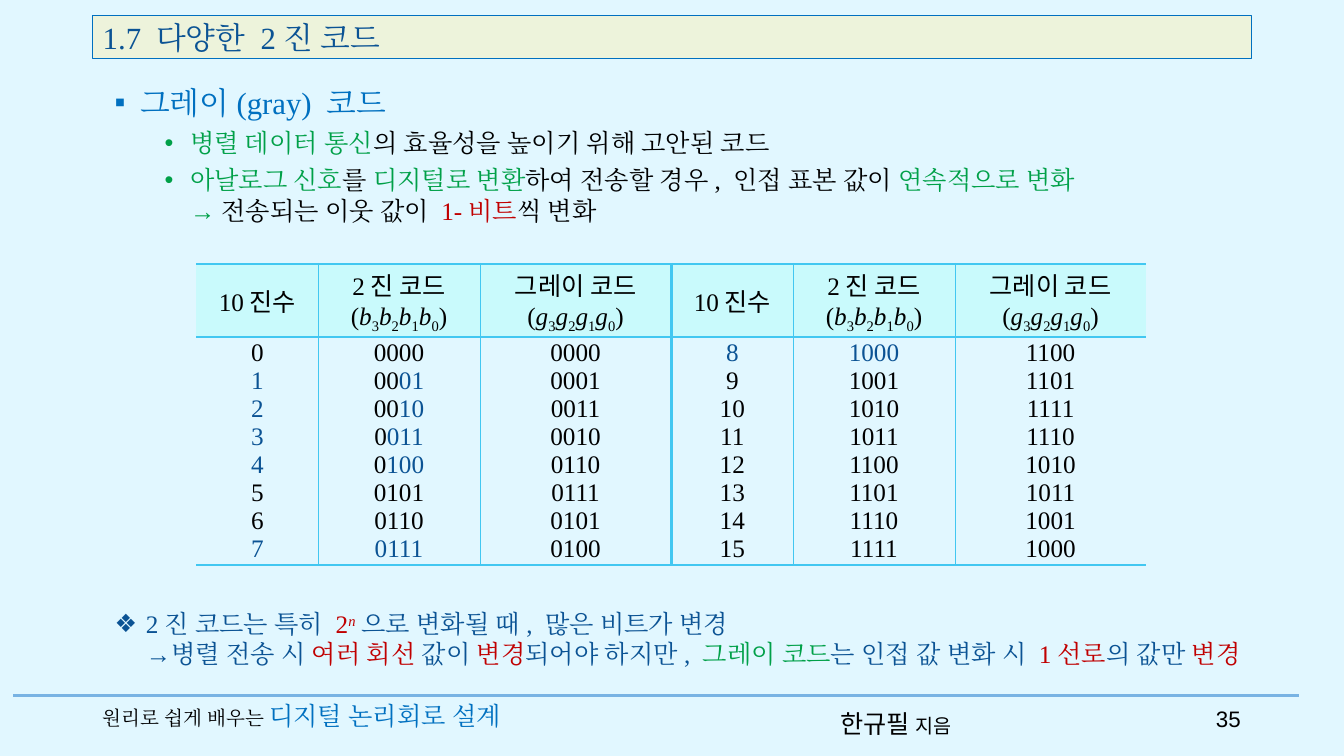
import pptx
import pptx.dml.color
import pptx.enum.shapes
import pptx.enum.text
import pptx.oxml
import pptx.oxml.ns
import pptx.util
from pptx.util import Cm, Pt

RGBColor = pptx.dml.color.RGBColor
ALIGN = pptx.enum.text.PP_ALIGN
ANCHOR = pptx.enum.text.MSO_ANCHOR

BLACK = RGBColor(0, 0, 0)
NAVY = RGBColor(0x0B, 0x53, 0x94)
BLUE = RGBColor(0x00, 0x70, 0xC0)
GREEN = RGBColor(0x00, 0xA0, 0x48)
RED = RGBColor(0xC0, 0x00, 0x00)
SKY = RGBColor(0xE1, 0xF7, 0xFF)
CREAM = RGBColor(0xED, 0xF3, 0xDB)
HEADER_CYAN = RGBColor(0xC9, 0xFA, 0xFC)
TABLE_LINE = RGBColor(0x42, 0xC7, 0xF1)
FOOTER_LINE = RGBColor(0x78, 0xB3, 0xE3)
SERIF, SANS = "Times New Roman", "Noto Sans CJK KR"

# Content: a run is (text, colour, optional settings)
TITLE = [("1.7 다양한 2진 코드", NAVY, {"size": 22})]
TOPIC = [("그레이(gray) 코드", BLUE, {"size": 22})]
POINTS = [
    [("병렬 데이터 통신", GREEN), ("의 효율성을 높이기 위해 고안된 코드", BLACK)],
    [("아날로그 신호", GREEN), ("를 ", BLACK), ("디지털로 변환", GREEN),
     ("하여 전송할 경우, 인접 표본 값이 ", BLACK), ("연속적으로 변화\n→ ", GREEN),
     ("전송되는 이웃 값이 ", BLACK), ("1-비트", RED), ("씩 변화", BLACK)],
]
CONCLUSION = [
    ("2진 코드는 특히 ", NAVY), ("2", RED), ("n", RED, {"italic": True, "baseline": 30}),
    ("으로 변화될 때, 많은 비트가 변경\n→병렬 전송 시 ", NAVY), ("여러 회선 ", RED),
    ("값이 ", NAVY), ("변경", RED), ("되어야 하지만, ", NAVY), ("그레이 코드", GREEN),
    ("는 인접 값 변화 시 ", NAVY), ("1선로", RED), ("의 값만 ", NAVY), ("변경", RED),
]
BOOK = [("원리로 쉽게 배우는 ", BLACK, {"size": 14}), ("디지털 논리회로 설계", BLUE)]
AUTHOR = [("한규필 ", BLACK, {"font": SANS}), ("지음", BLACK, {"font": SANS, "size": 14})]
PAGE = [("35", BLACK, {"font": "Arial", "size": 16})]
CHANGED_BITS = {1: 2, 2: 2, 3: 3, 4: 3, 7: 4, 8: 4}  # number: blue trailing bits
COLUMN_WIDTHS = [3.07, 4.07, 4.83] * 2
ROW_HEIGHTS = [1.84, 5.74]


# Text helpers
def add_runs(paragraph, runs):
    for text, color, *settings in runs:
        style = settings[0] if settings else {}
        for index, line in enumerate(text.split("\n")):
            if index:
                paragraph.add_line_break()
            run = paragraph.add_run()
            run.text = line
            font = run.font
            font.size = Pt(style.get("size", 18))
            font.name = style.get("font", SERIF)
            font.color.rgb = color
            font.italic = style.get("italic", False)
            properties = font._element
            east_asian = pptx.oxml.parse_xml(
                f'<a:ea {pptx.oxml.ns.nsdecls("a")} typeface="{font.name}"/>')
            properties.find(pptx.oxml.ns.qn("a:latin")).addnext(east_asian)
            if "baseline" in style:
                properties.set("baseline", str(style["baseline"] * 1000))


def set_bullet(paragraph, character, left, hanging):
    properties = paragraph._p.get_or_add_pPr()
    properties.set("marL", str(Cm(left)))
    properties.set("indent", str(-Cm(hanging)))
    for tag in ('buFont typeface="Arial"', f'buChar char="{character}"'):
        properties.append(pptx.oxml.parse_xml(f'<a:{tag} {pptx.oxml.ns.nsdecls("a")}/>'.replace(
            f"a:{tag} ", f"a:{tag} ")))


def fill_frame(frame, paragraphs, align=ALIGN.LEFT, line_spacing=None):
    for index, runs in enumerate(paragraphs):
        paragraph = frame.add_paragraph() if index else frame.paragraphs[0]
        paragraph.alignment = align
        if line_spacing:
            paragraph.line_spacing = line_spacing
        add_runs(paragraph, runs)


def add_text(left, top, width, height, paragraphs, align=ALIGN.LEFT):
    box = slide.shapes.add_textbox(Cm(left), Cm(top), Cm(width), Cm(height))
    box.text_frame.word_wrap = True
    fill_frame(box.text_frame, paragraphs, align)
    return box.text_frame.paragraphs


# Table helpers
def set_border(cell, side, width):
    paint = f'<a:solidFill><a:srgbClr val="{TABLE_LINE}"/></a:solidFill>' if width else "<a:noFill/>"
    cell._tc.get_or_add_tcPr().append(pptx.oxml.parse_xml(
        f'<a:ln{side} {pptx.oxml.ns.nsdecls("a")} w="{Pt(width)}">{paint}</a:ln{side}>'))


def bit_names(letter):
    runs = [("(", BLACK)]
    for bit in "3210":
        runs += [(letter, BLACK, {"italic": True}), (bit, BLACK, {"baseline": -25})]
    return runs + [(")", BLACK)]


def code_columns(numbers):
    decimals, binaries, grays = [], [], []
    for number in numbers:
        split = 4 - CHANGED_BITS.get(number, 0)
        bits = f"{number:04b}"
        decimals.append([(str(number), NAVY if number in CHANGED_BITS else BLACK)])
        parts = ((bits[:split], BLACK), (bits[split:], NAVY))
        binaries.append([part for part in parts if part[0]])
        grays.append([(f"{number ^ number >> 1:04b}", BLACK)])
    return [decimals, binaries, grays]


presentation = pptx.Presentation()
presentation.slide_width, presentation.slide_height = Cm(33.87), Cm(19.05)
slide = presentation.slides.add_slide(presentation.slide_layouts[6])
slide.background.fill.solid()
slide.background.fill.fore_color.rgb = SKY

# Footer rule
rule = slide.shapes.add_connector(
    pptx.enum.shapes.MSO_CONNECTOR.STRAIGHT, Cm(0.33), Cm(17.53), Cm(32.74), Cm(17.53))
rule.line.color.rgb = FOOTER_LINE
rule.line.width = Pt(2.5)
rule._element.spPr.append(pptx.oxml.parse_xml(f'<a:effectLst {pptx.oxml.ns.nsdecls("a")}/>'))

# Gray code points
topic, *points = add_text(2.64, 1.98, 29.21, 4.19, [TOPIC] + POINTS)
set_bullet(topic, "▪", 0.64, 0.64)
for point in points:
    set_bullet(point, "•", 1.9, 0.64)
    point.space_before = Pt(5)

# Code table
header = [
    [[("10", BLACK), ("진수", BLACK, {"font": SANS})]],
    [[("2", BLACK), ("진 코드", BLACK, {"font": SANS})], bit_names("b")],
    [[("그레이 코드", BLACK, {"font": SANS})], bit_names("g")],
] * 2
body = code_columns(range(8)) + code_columns(range(8, 16))
table = slide.shapes.add_table(
    2, 6, Cm(4.95), Cm(6.65), Cm(sum(COLUMN_WIDTHS)), Cm(sum(ROW_HEIGHTS))).table
table.first_row = table.horz_banding = False
for column, width in zip(table.columns, COLUMN_WIDTHS):
    column.width = Cm(width)
edges = [0, 0.28, 0.28, 1.98, 0.28, 0.28, 0]
for row_index, contents in enumerate((header, body)):
    table.rows[row_index].height = Cm(ROW_HEIGHTS[row_index])
    for column_index, paragraphs in enumerate(contents):
        cell = table.cell(row_index, column_index)
        cell.margin_left = cell.margin_right = Cm(0.18)
        cell.margin_top = cell.margin_bottom = Cm(0.05)
        cell.vertical_anchor = ANCHOR.MIDDLE
        for side, width in (("L", edges[column_index]), ("R", edges[column_index + 1]),
                            ("T", 1.7), ("B", 1.7)):
            set_border(cell, side, width)
        if row_index:
            cell.fill.background()
        else:
            cell.fill.solid()
            cell.fill.fore_color.rgb = HEADER_CYAN
        fill_frame(cell.text_frame, paragraphs, ALIGN.CENTER, Pt(20) if row_index else None)

# Conclusion and footer
conclusion, = add_text(2.64, 15.21, 29.44, 1.8, [CONCLUSION])
set_bullet(conclusion, "❖", 0.79, 0.79)
add_text(2.34, 17.53, 11.76, 1.02, [BOOK])
add_text(20.93, 17.73, 3.89, 1.02, [AUTHOR])
add_text(29.95, 17.65, 1.57, 1.02, [PAGE], ALIGN.RIGHT)

# Title bar
bar = slide.shapes.add_shape(
    pptx.enum.shapes.MSO_SHAPE.RECTANGLE, Cm(2.34), Cm(0.38), Cm(29.21), Cm(1.09))
bar.shadow.inherit = False
bar.fill.solid()
bar.fill.fore_color.rgb = CREAM
bar.line.color.rgb = BLUE
bar.line.width = Pt(0.75)
bar.text_frame.vertical_anchor = ANCHOR.MIDDLE
fill_frame(bar.text_frame, [TITLE])

presentation.save("out.pptx")
